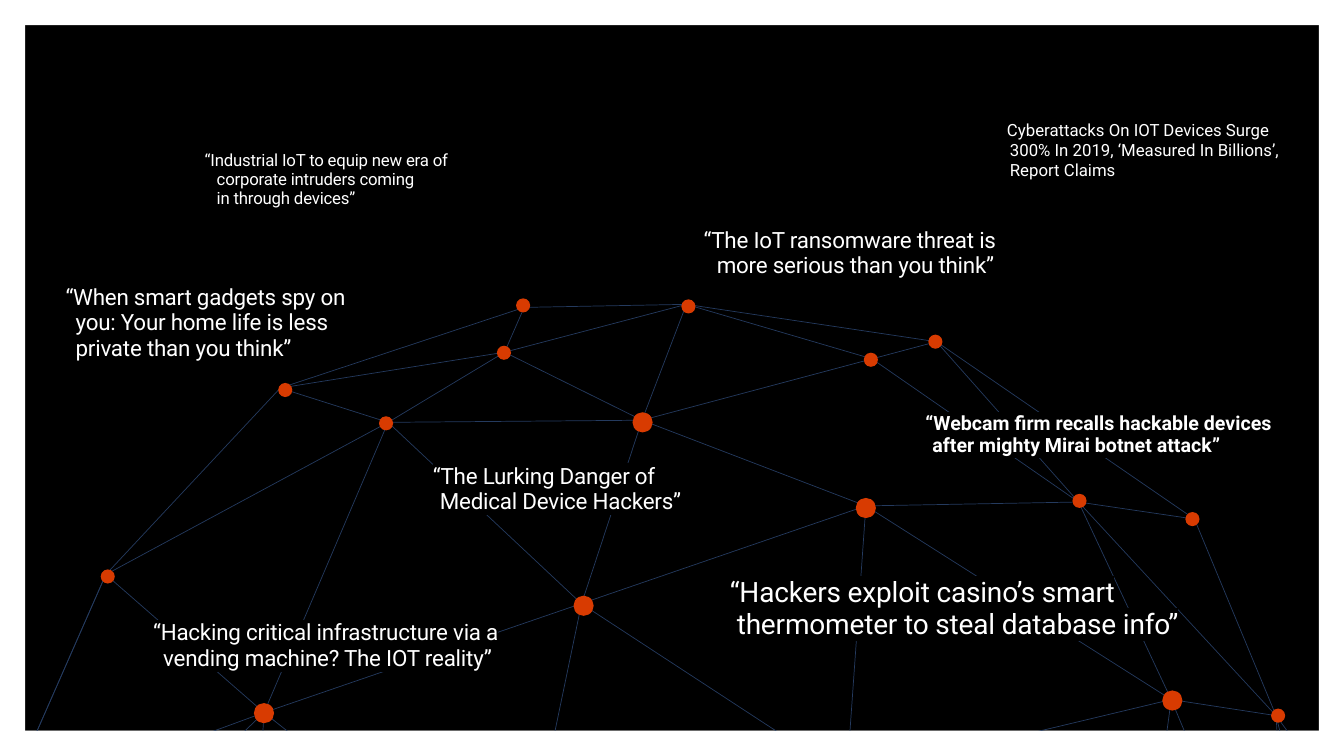
from collections import namedtuple

from lxml.etree import SubElement
from pptx import Presentation
from pptx.dml.color import RGBColor
from pptx.enum.shapes import MSO_SHAPE as Shape
from pptx.enum.text import MSO_ANCHOR as Anchor
from pptx.oxml.ns import qn
from pptx.util import Pt

BLACK = RGBColor(0x00, 0x00, 0x00)
WHITE = RGBColor(0xFF, 0xFF, 0xFF)
NAVY = RGBColor(0x24, 0x3A, 0x5E)
ORANGE = RGBColor(0xD8, 0x3B, 0x01)

Box = namedtuple("Box", "left top width height")
Quote = namedtuple("Quote", "box size hanging first_line spans")

PAGE = Box(0, 0, 960, 540)
MARGIN = 18
FIELD = Box(MARGIN, MARGIN, PAGE.width - 2 * MARGIN, PAGE.height - 2 * MARGIN)
SMALL, LARGE = 10.1, 14.4
TIGHT = -15

JOINTS = {
    "A": (356.4, 201.6), "B": (472.3, 199.4), "C": (650.9, 226.1), "D": (604.8, 238.3),
    "E": (342.4, 233.6), "F": (182.2, 259.2), "G": (259.2, 283.7), "H": (440.6, 282.2),
    "I": (835.2, 352.8), "J": (752.4, 340.6), "K": (600.5, 343.4), "L": (57.6, 392.4),
    "M": (397.4, 413.3), "N": (818.6, 481.7), "O": (893.5, 493.2), "P": (170.6, 491),
    "a": (932.4, 546.5), "b": (930.2, 643), "c": (946.8, 753.8), "d": (863.3, 959),
    "e": (753.8, 1065.6), "f": (532.8, 1175), "g": (192.2, 1112.4), "h": (88.6, 993.6),
    "i": (24.5, 947.5), "j": (-21.6, 753.8), "k": (-15.8, 559.4), "l": (905, 688.3),
    "m": (905.8, 808.6), "n": (825.8, 889.2), "o": (650.2, 952.6), "p": (498.2, 1110.2),
    "q": (338.4, 1139), "r": (170.6, 1033.2), "s": (183.6, 937.4), "t": (56.9, 857.5),
    "u": (154.8, 758.9), "v": (9.4, 645.1), "w": (313.9, 974.2), "x": (586.8, 537.1),
    "y": (781.2, 758.9), "z": (465.1, 985), "1": (351.4, 634.3), "2": (326.9, 831.6),
    "3": (519.1, 809.3), "4": (905.8, 853.9),
}
STRANDS = [
    "CIOabcdefghijkLFABC", "BEHKNlbOJCHMGHB", "BDJNOlcm4ndoepqrhsitjuvPkLGFEA",
    "EGPL", "Putsrwq", "PKJI", "KxNylmynopwzpf", "M1xM", "P1usw2z3oz",
]
DOTS = [
    (355.7, 200.2, SMALL), (473.8, 200.9, SMALL), (650.2, 226.1, SMALL), (604.1, 239, SMALL),
    (342, 234, SMALL), (185.8, 260.6, SMALL), (257.8, 284.4, SMALL), (441, 283.7, LARGE),
    (833.8, 352.8, SMALL), (753.1, 339.8, SMALL), (600.5, 344.9, LARGE), (59, 393.8, SMALL),
    (398.9, 414.7, LARGE), (819.4, 482.4, LARGE), (895, 493.2, SMALL), (170.6, 491.4, LARGE),
]

QUOTES = [
    Quote(Box(28.8, 185, 229.7, 55.4), 16, 7.2, -7.2,
          [("“When smart gadgets spy on you: Your home life is less private than you think”", TIGHT)]),
    Quote(Box(128.2, 89.3, 198, 41.8), 12, 8.6, -8.6,
          [("“Industrial IoT to equip new era of corporate intruders coming\vin through devices”", TIGHT)]),
    Quote(Box(291.2, 313, 185.8, 36.7), 16, 5, -5,
          [("“The Lurking Danger of Medical Device Hackers”", TIGHT)]),
    Quote(Box(484.6, 144.7, 238.3, 36.7), 16, 9.4, -9.4,
          [("“The IoT ransomware threat is more serious than you think”", TIGHT)]),
    Quote(Box(503.3, 393.8, 339.8, 46.1), 20, 5, -5,
          [("“Hackers exploit casino’s smart thermometer to steal database info”", TIGHT)]),
    Quote(Box(91.4, 424.8, 265, 36.7), 16, 7.2, -7.2,
          [("“Hacking critical infrastructure via a vending machine? The IOT reality”", TIGHT)]),
]
BOLD_QUOTE = Quote(
    Box(643, 276.5, 259.9, 32.4), 14, 5, -5,
    [("“", TIGHT), ("Webcam firm recalls hackable devices after mighty Mirai botnet attack", 0), ("”", TIGHT)])
HEADLINE = Quote(
    Box(698.4, 67.4, 198, 43.2), 12, 5, -2.1,
    [("Cyberattacks On IOT Devices Surge 300% In 2019, ‘Measured In Billions’, Report Claims", 0)])


def add_filled(shapes, kind, box, color):
    shape = shapes.add_shape(kind, *map(Pt, box))
    shape.shadow.inherit = False
    shape.fill.solid()
    shape.fill.fore_color.rgb = color
    shape.line.fill.background()


def add_strand(shapes, points):
    first, *others = [(Pt(x), Pt(y)) for x, y in points]
    builder = shapes.build_freeform(*first)
    builder.add_line_segments(others, close=first == others[-1])
    strand = builder.convert_to_shape()
    strand.shadow.inherit = False
    strand.fill.background()
    strand.line.color.rgb = NAVY
    strand.line.width = Pt(0.5)


def draw_network(page, box):
    shapes = page.shapes.add_group_shape().shapes
    for strand in STRANDS:
        joints = [JOINTS[name] for name in strand]
        add_strand(shapes, [(box.left + x, box.top + y) for x, y in joints])
    for x, y, size in DOTS:
        dot = Box(box.left + x - size / 2, box.top + y - size / 2, size, size)
        add_filled(shapes, Shape.OVAL, dot, ORANGE)


def draw_frame(page, box, thickness):
    bars = page.shapes.add_group_shape().shapes
    for top in (box.height - thickness, 0):
        add_filled(bars, Shape.RECTANGLE, Box(box.left, box.top + top, box.width, thickness), WHITE)
    for left in (0, box.width - thickness):
        add_filled(bars, Shape.RECTANGLE, Box(box.left + left, box.top, thickness, box.height), WHITE)


def draw_quote(page, box, quote, bold=False, highlighted=True, spacing=0.95):
    place = quote.box
    shape = page.shapes.add_textbox(
        Pt(box.left + place.left), Pt(box.top + place.top), Pt(place.width), Pt(place.height))
    frame = shape.text_frame
    frame.word_wrap = True
    frame.vertical_anchor = Anchor.MIDDLE
    frame.margin_left = frame.margin_top = frame.margin_right = frame.margin_bottom = 0
    para = frame.paragraphs[0]
    para.line_spacing = spacing
    properties = para._p.get_or_add_pPr()
    properties.set("marL", str(Pt(quote.hanging)))
    properties.set("indent", str(Pt(quote.first_line)))
    for text, tracking in quote.spans:
        for index, line in enumerate(text.split("\v")):
            if index:
                para.add_line_break()
            span = para.add_run()
            span.text = line
            span.font.size = Pt(quote.size)
            span.font.bold = bold
            span.font.color.rgb = WHITE
            run_properties = span.font._element
            run_properties.set("spc", str(tracking))
            if highlighted:
                highlight = SubElement(run_properties, qn("a:highlight"))
                SubElement(highlight, qn("a:srgbClr")).set("val", str(BLACK))
            span.font.name = "Roboto"


def draw_headlines_page(deck):
    page = deck.slides.add_slide(deck.slide_layouts[6])
    add_filled(page.shapes, Shape.RECTANGLE, FIELD, BLACK)
    draw_network(page, FIELD)
    draw_frame(page, PAGE, MARGIN)
    for quote in QUOTES:
        draw_quote(page, FIELD, quote)
    draw_quote(page, FIELD, BOLD_QUOTE, bold=True)
    draw_quote(page, FIELD, HEADLINE, highlighted=False, spacing=1.0)


def main():
    deck = Presentation()
    deck.slide_width, deck.slide_height = Pt(PAGE.width), Pt(PAGE.height)
    draw_headlines_page(deck)
    deck.save("out.pptx")


if __name__ == "__main__":
    main()
